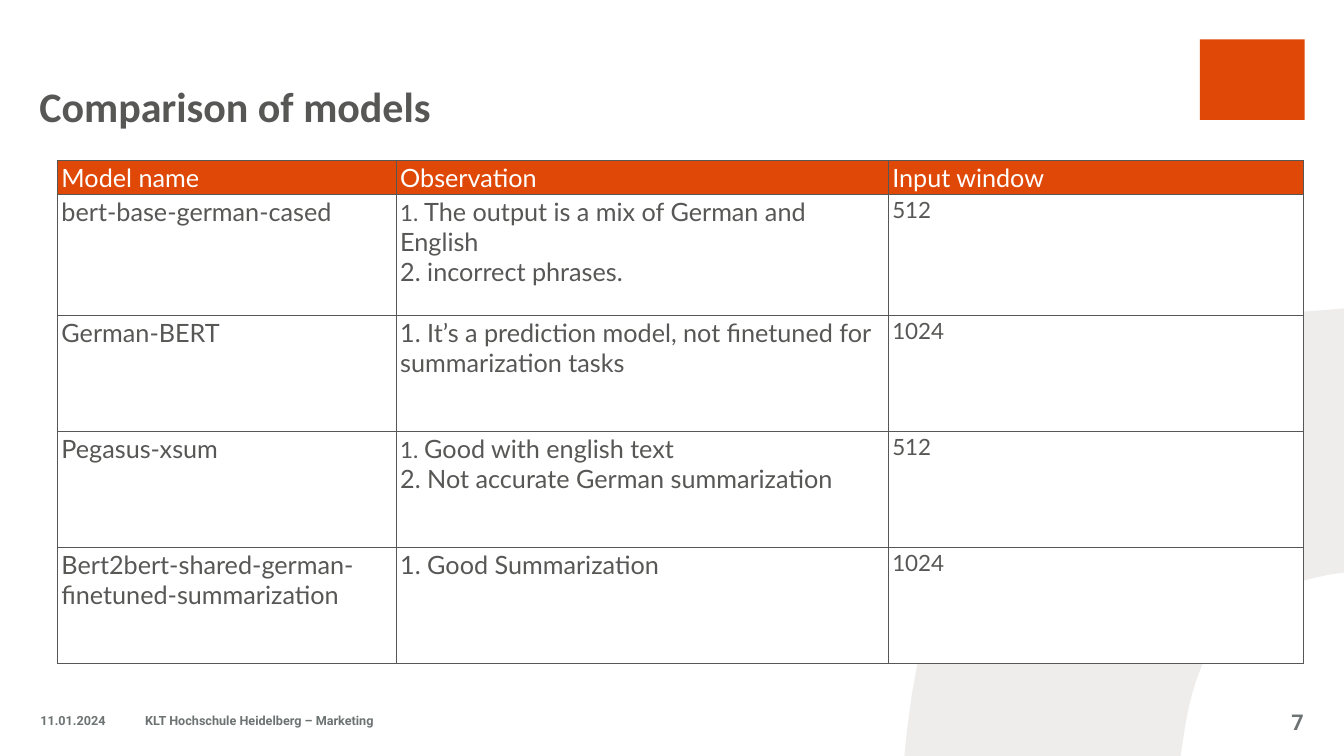
from pptx import Presentation
from pptx.dml.color import RGBColor
from pptx.enum import shapes, text
from pptx.oxml import parse_xml
from pptx.oxml.ns import nsdecls
from pptx.util import Inches, Pt

ORANGE = RGBColor(0xDF, 0x48, 0x07)
DARK = RGBColor(0x57, 0x57, 0x56)
GREY = RGBColor(0x6D, 0x73, 0x73)
PALE = RGBColor(0xEE, 0xED, 0xEB)
WHITE = RGBColor(0xFF, 0xFF, 0xFF)
LEFT, RIGHT, JUST = text.PP_ALIGN.LEFT, text.PP_ALIGN.RIGHT, text.PP_ALIGN.JUSTIFY
MID, LOW = text.MSO_ANCHOR.MIDDLE, text.MSO_ANCHOR.BOTTOM

HEADS = ["Model name", "Observation", "Input window"]
# Each observation is a list of lines, each line a list of (words, size).
MODELS = [
    ("bert-base-german-cased",
     [[("1. ", 16), ("The output is a mix of German and English", 18)],
      [("2. incorrect phrases.", 18)]], "512"),
    ("German-BERT",
     [[("1. It’s a prediction model, not finetuned for summarization tasks", 18)]], "1024"),
    ("Pegasus-xsum",
     [[("1. ", 16), ("Good with english text", 18)],
      [("2. Not accurate German summarization", 18)]], "512"),
    ("Bert2bert-shared-german-finetuned-summarization",
     [[("1. Good Summarization", 18)]], "1024"),
]
COLS = [3.36, 4.88, 4.12]
ROWS = [0.34, 1.2, 1.15, 1.15, 1.15]

# words, place, anchor, alignment, font
LABELS = [
    ("Comparison of models", (0.39, 0.39, 10.01, 0.91), LOW, LEFT, ("Calibri", 30, DARK)),
    ("11.01.2024", (0.4, 6.95, 0.96, 0.4), MID, LEFT, ("Roboto", 9, GREY)),
    ("KLT Hochschule Heidelberg – Marketing", (1.44, 6.95, 7.1, 0.4), MID, LEFT,
     ("Roboto", 9, GREY)),
    ("7", (12.19, 6.96, 0.74, 0.4), MID, RIGHT, ("Roboto", 15.5, GREY)),
]

# Two points are a straight side, four are a Bezier curve.
ARC = [
    [(13.33, 3.06), (13.33, 5.68)],
    [(13.33, 5.68), (13.19, 5.7)],
    [(13.19, 5.7), (12.24, 5.88), (11.87, 6.38), (11.74, 7.3)],
    [(11.74, 7.3), (11.71, 7.5)],
    [(11.71, 7.5), (8.97, 7.5)],
    [(8.97, 7.5), (9, 7.21)],
    [(9, 7.21), (9.29, 4.73), (10.62, 3.2), (13.22, 3.07)],
]


def trace(side, steps=24):
    """Return the points of one side after its start."""
    if len(side) == 2:
        return side[1:]
    spots = []
    for n in range(1, steps + 1):
        t = n / steps
        parts = [(1 - t) ** 3, 3 * t * (1 - t) ** 2, 3 * t * t * (1 - t), t ** 3]
        spots.append(tuple(sum(w * p[axis] for w, p in zip(parts, side)) for axis in (0, 1)))
    return spots


def paint(shape, color):
    shape.shadow.inherit = False
    shape.fill.solid()
    shape.fill.fore_color.rgb = color
    shape.line.fill.background()


def write(frame, lines, align, name, color, bold=False):
    for n, line in enumerate(lines):
        para = frame.paragraphs[0] if n == 0 else frame.add_paragraph()
        para.alignment = align
        for words, size in line:
            run = para.add_run()
            run.text = words
            look = {"name": name, "size": Pt(size), "bold": bold}
            for key, value in look.items():
                setattr(run.font, key, value)
            run.font.color.rgb = color


def edge(cell):
    """Draw a thin line on all four sides of a cell."""
    props = cell._tc.get_or_add_tcPr()
    for n, side in enumerate("LRTB"):
        props.insert(n, parse_xml(
            f'<a:ln{side} {nsdecls("a")} w="{Pt(1)}"><a:solidFill>'
            f'<a:srgbClr val="{DARK}"/></a:solidFill></a:ln{side}>'))


def backdrop(slide):
    spots = [spot for side in ARC for spot in trace(side)]
    start = [Inches(v) for v in ARC[0][0]]
    pen = slide.shapes.build_freeform(*start, scale=1.0)
    pen.add_line_segments([(Inches(x), Inches(y)) for x, y in spots], close=True)
    paint(pen.convert_to_shape(), PALE)
    badge = slide.shapes.add_shape(
        shapes.MSO_SHAPE.RECTANGLE, *map(Inches, (11.9, 0.39, 1.04, 0.8)))
    paint(badge, ORANGE)


def labels(slide):
    for words, place, anchor, align, (name, size, color) in LABELS:
        frame = slide.shapes.add_textbox(*map(Inches, place)).text_frame
        look = {"word_wrap": True, "vertical_anchor": anchor, "margin_left": 0,
                "margin_right": 0, "margin_top": 0, "margin_bottom": 0}
        for key, value in look.items():
            setattr(frame, key, value)
        write(frame, [[(words, size)]], align, name, color, True)


def grid(slide):
    rows = [[[[(head, 18)]] for head in HEADS]]
    rows += [[[[(model, 18)]], notes, [[(window, 16)]]] for model, notes, window in MODELS]
    place = (0.57, 1.59, sum(COLS), sum(ROWS))
    table = slide.shapes.add_table(len(ROWS), len(COLS), *map(Inches, place)).table
    for col, width in zip(table.columns, COLS):
        col.width = Inches(width)
    for row, height in zip(table.rows, ROWS):
        row.height = Inches(height)
    pads = {"margin_left": 0.04, "margin_right": 0.04,
            "margin_top": 0.02, "margin_bottom": 0.02}
    for r, row in enumerate(rows):
        for c, lines in enumerate(row):
            cell = table.cell(r, c)
            for key, value in pads.items():
                setattr(cell, key, Inches(value))
            cell.fill.solid()
            cell.fill.fore_color.rgb = WHITE if r else ORANGE
            edge(cell)
            align = LEFT if r and c == 1 else JUST
            write(cell.text_frame, lines, align, "Lato", DARK if r else WHITE)


def main():
    deck = Presentation()
    deck.slide_width, deck.slide_height = Inches(13.33), Inches(7.5)
    slide = deck.slides.add_slide(deck.slide_layouts[6])
    backdrop(slide)
    grid(slide)
    labels(slide)
    deck.save("out.pptx")


if __name__ == "__main__":
    main()
